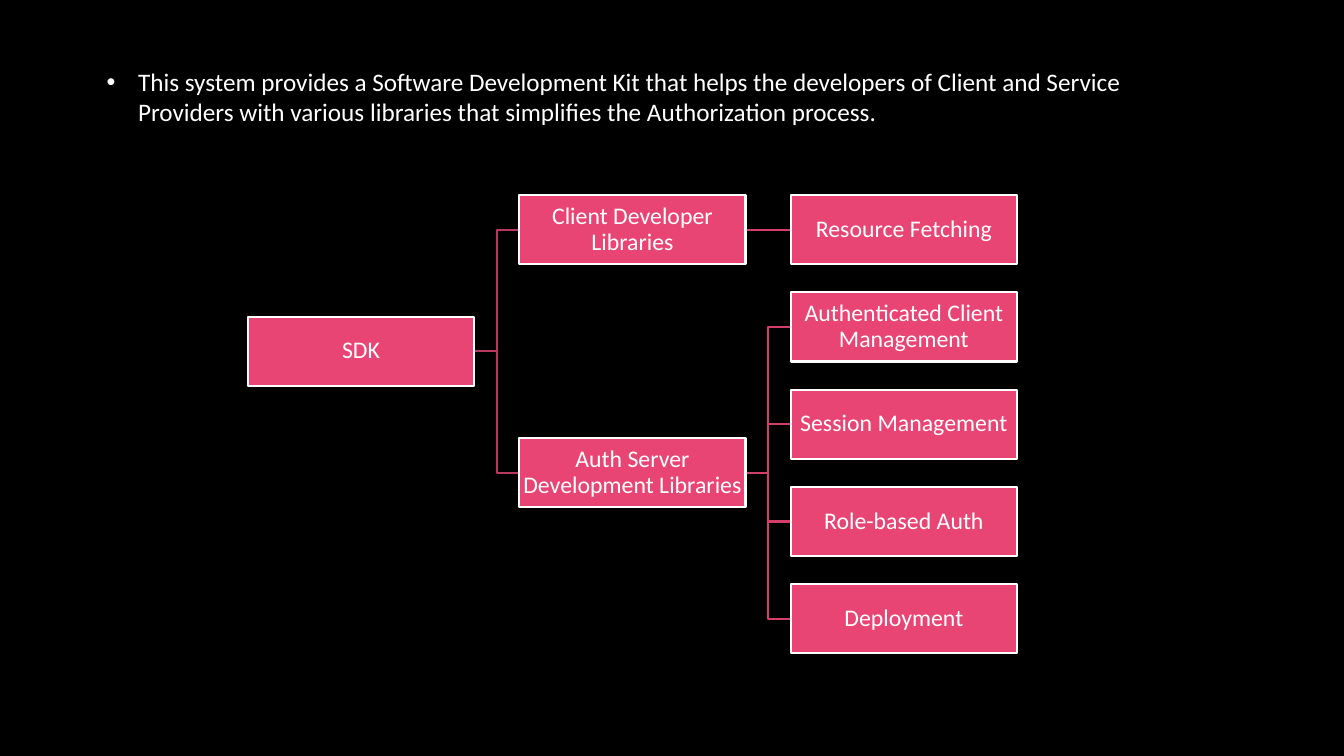
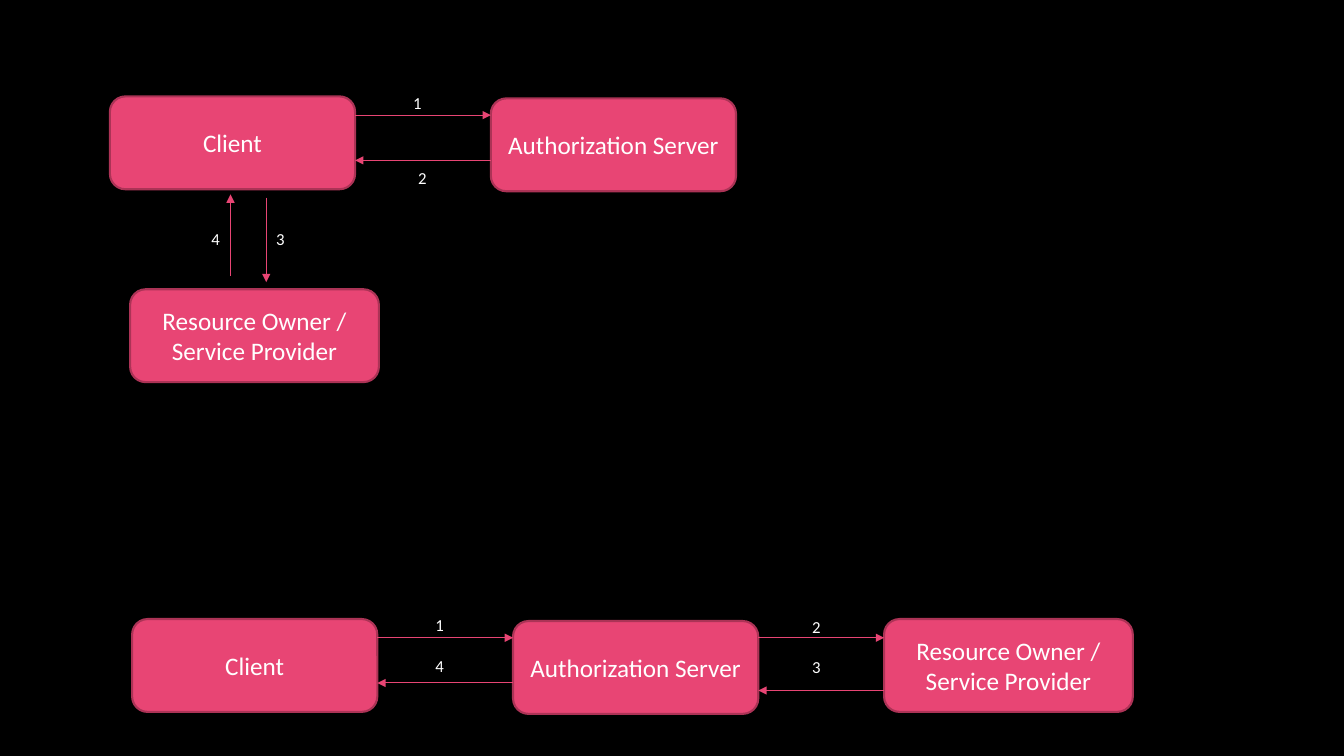
from dataclasses import dataclass

from lxml import etree
from pptx import Presentation
from pptx import util as u
from pptx.dml.color import RGBColor
from pptx.enum import shapes, text
from pptx.oxml import ns


@dataclass(frozen=True)
class Theme:
    font: str = "Calibri"
    back: str = "000000"
    ink: str = "FFFFFF"
    accent: str = "E84574"
    accent_edge: str = "AC3356"
    branch_lines: tuple = ("BA375D", "D33F69")  # by tree level
    body_size: float = 18
    tree_size: float = 17
    label_size: float = 12
    edge: float = 1.5
    arrow: float = 0.75


class Deck:
    """Holds the style and the slide being drawn."""

    def __init__(self, theme):
        self.t = theme
        self.prs = Presentation()
        self.prs.slide_width, self.prs.slide_height = u.Cm(33.87), u.Cm(19.05)
        fill = self.prs.slide_master.background.fill
        fill.solid()
        fill.fore_color.rgb = RGBColor.from_string(theme.back)
        self.s = None

    def slide(self):
        self.s = self.prs.slides.add_slide(self.prs.slide_layouts[6])

    def put_text(self, tf, words, size, align):
        p = tf.paragraphs[0]
        p.text = words
        p.alignment = align
        p.font.name = self.t.font
        p.font.size = u.Pt(size)
        p.font.color.rgb = RGBColor.from_string(self.t.ink)
        return p

    def stroke(self, line, color, width):
        line.color.rgb = RGBColor.from_string(color)
        line.width = u.Pt(width)

    def box(self, kind, words, x, y, w, h, edge, size):
        sp = self.s.shapes.add_shape(kind, u.Cm(x), u.Cm(y), u.Cm(w), u.Cm(h))
        sp.shadow.inherit = False
        sp.fill.solid()
        sp.fill.fore_color.rgb = RGBColor.from_string(self.t.accent)
        self.stroke(sp.line, edge, self.t.edge)
        tf = sp.text_frame
        tf.word_wrap = True
        tf.vertical_anchor = text.MSO_ANCHOR.MIDDLE
        self.put_text(tf, words, size, text.PP_ALIGN.CENTER)
        return sp

    def tree_box(self, words, x, y, w, h):
        sp = self.box(shapes.MSO_SHAPE.RECTANGLE, words, x, y, w, h,
                      self.t.ink, self.t.tree_size)
        tf = sp.text_frame
        tf.margin_left = tf.margin_right = u.Cm(0.03)
        tf.margin_top = tf.margin_bottom = u.Cm(0.03)
        tf.paragraphs[0].line_spacing = 0.9
        return sp

    def actor(self, words, x, y, w):
        self.box(shapes.MSO_SHAPE.ROUNDED_RECTANGLE, words, x, y, w, ACTOR_H,
                 self.t.accent_edge, self.t.body_size)

    def textbox(self, words, x, y, w, h, size, wrap):
        tf = self.s.shapes.add_textbox(
            u.Cm(x), u.Cm(y), u.Cm(w), u.Cm(h)).text_frame
        tf.word_wrap = wrap
        tf.auto_size = text.MSO_AUTO_SIZE.SHAPE_TO_FIT_TEXT
        return self.put_text(tf, words, size, text.PP_ALIGN.LEFT)

    def bullet(self, words, x, y, w, h):
        p = self.textbox(words, x, y, w, h, self.t.body_size, True)
        pPr = p._p.get_or_add_pPr()
        pPr.set("marL", str(u.Cm(0.79)))
        pPr.set("indent", str(-u.Cm(0.79)))
        # Bullet marks come before the paragraph's default run settings
        marks = (("a:buFont", "typeface", "Arial"), ("a:buChar", "char", "•"))
        for i, (tag, key, value) in enumerate(marks):
            mark = etree.Element(ns.qn(tag))
            mark.set(key, value)
            pPr.insert(i, mark)

    def label(self, words, x, y):
        self.textbox(words, x, y, 0.74, 0.76, self.t.label_size, False)

    def connector(self, kind, color, width, x1=0, y1=0, x2=0, y2=0):
        c = self.s.shapes.add_connector(
            kind, u.Cm(x1), u.Cm(y1), u.Cm(x2), u.Cm(y2))
        self.stroke(c.line, color, width)
        etree.SubElement(c._element.spPr, ns.qn("a:effectLst"))
        return c

    def arrow(self, x1, y1, x2, y2):
        c = self.connector(shapes.MSO_CONNECTOR.STRAIGHT, self.t.accent,
                           self.t.arrow, x1, y1, x2, y2)
        ln = c._element.spPr.get_or_add_ln()
        etree.SubElement(ln, ns.qn("a:tailEnd")).set("type", "triangle")

    def branch(self, parent, child, level):
        same_height = parent.top == child.top
        kind = (shapes.MSO_CONNECTOR.STRAIGHT if same_height
                else shapes.MSO_CONNECTOR.ELBOW)
        c = self.connector(kind, self.t.branch_lines[level], self.t.edge)
        c.begin_connect(parent, 3)  # right side
        c.end_connect(child, 1)  # left side
        self.s.shapes._spTree.insert(2, c._element)  # behind the boxes


# Slide 1: tree of libraries
TREE = ("SDK", [
    ("Client Developer Libraries", [("Resource Fetching", [])]),
    ("Auth Server Development Libraries", [
        ("Authenticated Client Management", []),
        ("Session Management", []),
        ("Role-based Auth", []),
        ("Deployment", []),
    ]),
])
TREE_X, TREE_Y = 6.25, 4.92
COL_STEP, ROW_STEP = 6.84, 2.45
TREE_W, TREE_H = 5.7, 1.74


def draw_tree(d, node, level=0, first_row=0):
    """Draw a node midway between its children; return box, row, next row."""
    words, children = node
    row, next_row = first_row, first_row + 1
    drawn = []
    if children:
        next_row = first_row
        for child in children:
            sp, child_row, next_row = draw_tree(d, child, level + 1, next_row)
            drawn.append((sp, child_row))
        row = (drawn[0][1] + drawn[-1][1]) / 2
    box = d.tree_box(words, TREE_X + level * COL_STEP, TREE_Y + row * ROW_STEP,
                     TREE_W, TREE_H)
    for sp, _ in drawn:
        d.branch(box, sp, level)
    return box, row, next_row


def sdk_slide(d):
    d.slide()
    d.bullet("This system provides a Software Development Kit that helps the "
             "developers of Client and Service Providers with various "
             "libraries that simplifies the Authorization process.",
             2.44, 1.55, 27.08, 1.8)
    draw_tree(d, TREE)


# Slide 2: two authorization flows
ACTOR_W, OWNER_W, ACTOR_H = 6.18, 6.27, 2.34
SERVER_DX = 9.6
OWNER = "Resource Owner / Service Provider"


def client_and_server(d, x, y):
    d.actor("Client", x, y, ACTOR_W)
    d.actor("Authorization Server", x + SERVER_DX, y + 0.05, ACTOR_W)
    left, right = x + ACTOR_W, x + SERVER_DX
    d.arrow(left, y + 0.47, right, y + 0.47)
    d.arrow(right, y + 1.61, left, y + 1.61)
    d.label("1", x + 7.39, y - 0.23)


def flow_slide(d):
    d.slide()

    # Client asks the server, then the resource owner
    client_and_server(d, 2.77, 2.43)
    d.actor(OWNER, 3.28, 7.29, OWNER_W)
    d.arrow(6.71, 4.98, 6.71, 7.11)
    d.arrow(5.81, 6.96, 5.81, 4.9)

    # Server asks the resource owner for the client
    x, y = 3.33, 15.6
    client_and_server(d, x, y)
    server_right, owner_x = x + SERVER_DX + ACTOR_W, 22.28
    d.actor(OWNER, owner_x, y, OWNER_W)
    d.arrow(server_right, y + 0.47, owner_x, y + 0.47)
    d.arrow(owner_x, y + 1.8, server_right, y + 1.8)

    # Step numbers
    for step in (("2", 10.29, 4.09), ("3", 6.71, 5.65), ("4", 5.08, 5.65),
                 ("2", 20.22, 15.42), ("3", 20.22, 16.43),
                 ("4", 10.72, 16.39)):
        d.label(*step)


def main():
    d = Deck(Theme())
    sdk_slide(d)
    flow_slide(d)
    d.prs.save("out.pptx")


if __name__ == "__main__":
    main()
